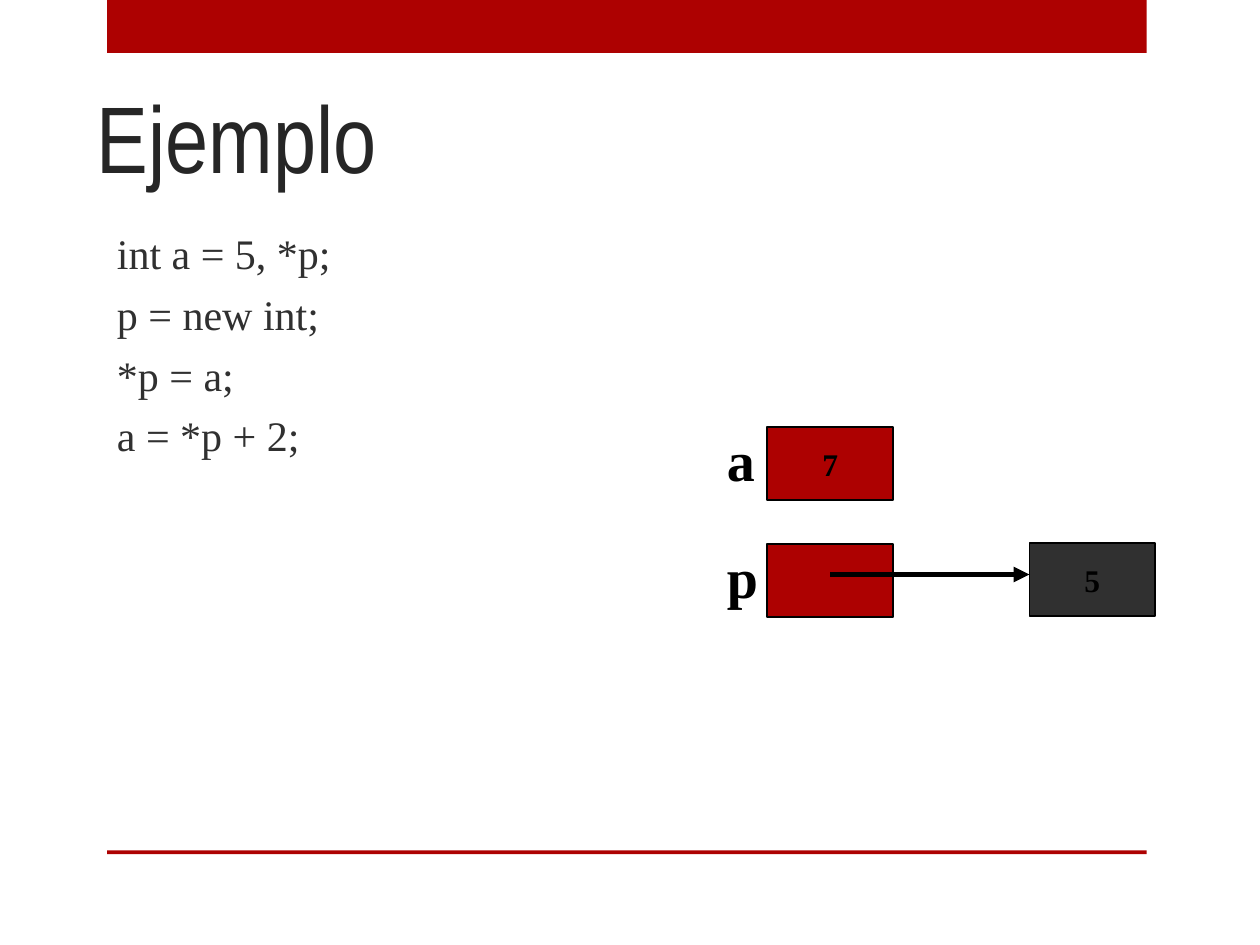
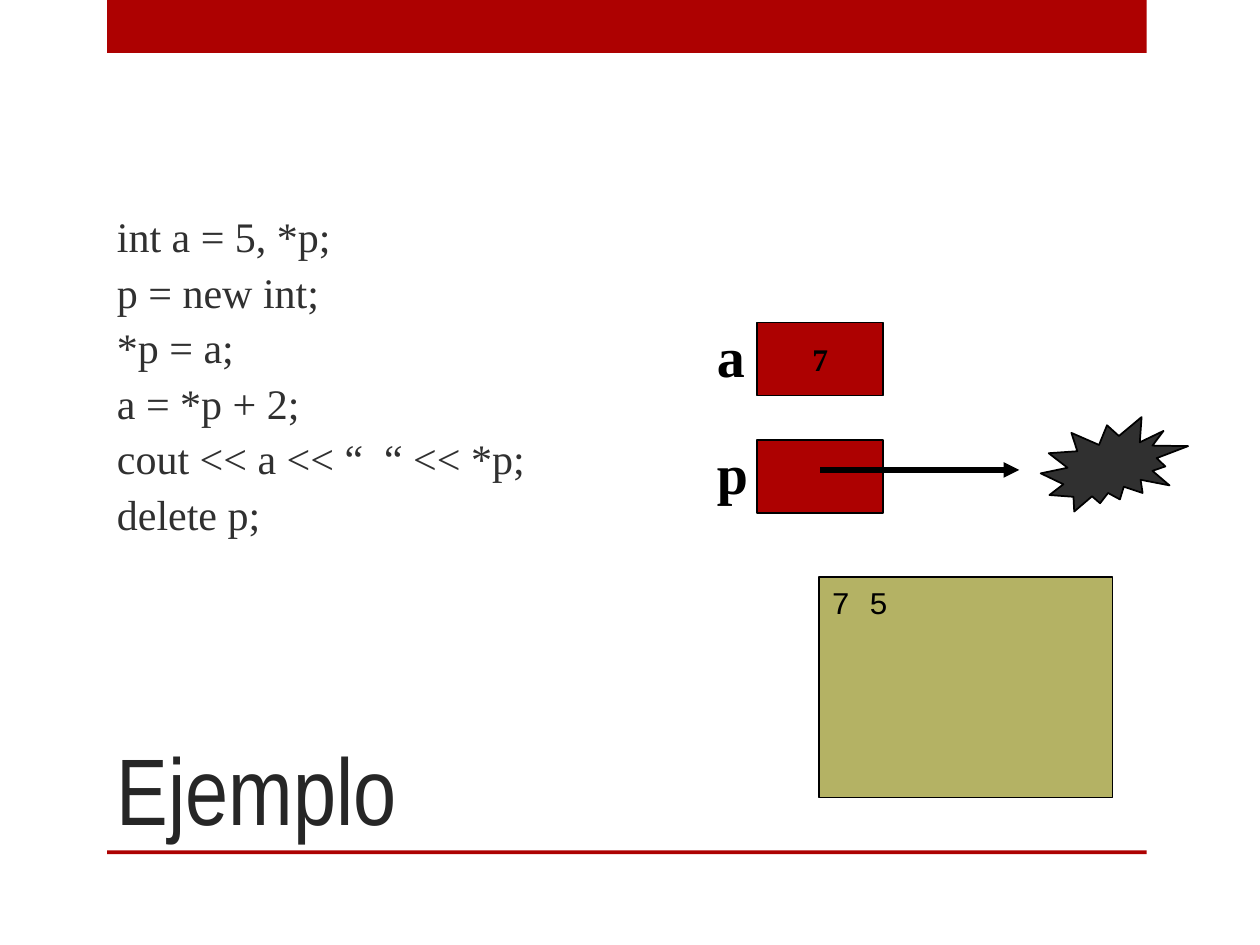
from pptx import Presentation
from pptx.dml.color import RGBColor as Rgb
from pptx.enum.shapes import MSO_CONNECTOR as Conn, MSO_SHAPE as Geo
from pptx.enum.text import MSO_ANCHOR as Anchor, PP_ALIGN as Align
from pptx.oxml.ns import qn
from pptx.util import Inches, Pt
from lxml.etree import SubElement as Sub

HUES = {
    "red": "AD0101",
    "title": "262626",
    "dark": "303030",
    "black": "000000",
    "olive": "B4B264",
}
SERIF = "Times New Roman"
CODE = ["int a = 5, *p;", "p = new int;", "*p = a;", "a = *p + 2;"]
PRINT = ["cout << a << “  “ << *p;", "delete p;"]


def hue(name):
    return Rgb.from_string(HUES[name])


def write(frame, text, size=18, font=SERIF, color="black", bold=False,
          align=Align.LEFT, anchor=Anchor.TOP, wrap=False, lead=None, gap=0):
    frame.word_wrap = wrap
    frame.vertical_anchor = anchor
    for i, line in enumerate(text.split("\n")):
        para = frame.add_paragraph() if i else frame.paragraphs[0]
        para.alignment = align
        if lead:
            para.line_spacing = lead
        if i:
            para.space_before = Pt(gap)
        run = para.add_run()
        run.text = line
        run.font.size = Pt(size)
        run.font.name = font
        run.font.bold = bold
        run.font.color.rgb = hue(color)


def label(slide, box, text, **style):
    area = slide.shapes.add_textbox(*map(Inches, box))
    write(area.text_frame, text, **style)


def block(slide, box, fill, geo=Geo.RECTANGLE, edge=True):
    shape = slide.shapes.add_shape(geo, *map(Inches, box))
    shape.shadow.inherit = False
    shape.fill.solid()
    shape.fill.fore_color.rgb = hue(fill)
    if edge:
        shape.line.color.rgb = hue("black")
        shape.line.width = Pt(1)
    else:
        shape.line.fill.background()
    return shape


def arrow(slide, left, top, width):
    ends = map(Inches, (left, top, left + width, top))
    line = slide.shapes.add_connector(Conn.STRAIGHT, *ends)
    line.line.color.rgb = hue("black")
    line.line.width = Pt(3)
    Sub(line.line._get_or_add_ln(), qn("a:tailEnd"), type="triangle")
    Sub(line._element.spPr, qn("a:effectLst"))


def cell(slide, left, top, value="", fill="red"):
    shape = block(slide, (left, top, 1, 0.58), fill)
    if value:
        write(shape.text_frame, value, bold=True, align=Align.CENTER,
              anchor=Anchor.MIDDLE)


def memory(slide, left, top, freed=False):
    for i, (name, value) in enumerate([("a", "7"), ("p", "")]):
        row = top + 0.93 * i
        label(slide, (left, row, 0.42 + 0.03 * i, 0.63), name,
              size=32, bold=True)
        cell(slide, left + 0.42, row + 0.06, value)
    if freed:
        block(slide, (left + 2.67, top + 0.81, 1.17, 0.75), "dark",
              Geo.EXPLOSION2)
    else:
        cell(slide, left + 2.5, top + 0.98, "5", "dark")
    arrow(slide, left + 0.92, top + 1.23, 1.58)


def screen(slide, box, text):
    shape = block(slide, box, "olive")
    write(shape.text_frame, text, font="Courier New")


def base(deck, title):
    slide = deck.slides.add_slide(deck.slide_layouts[6])
    for top, height in [(0, 0.42), (6.75, 0.03)]:
        block(slide, (0.85, top, 8.25, height), "red", edge=False)
    label(slide, title, "Ejemplo", size=54, font="Arial Narrow",
          color="title", anchor=Anchor.BOTTOM, wrap=True)
    return slide


def code(slide, box, lines, lead=None):
    label(slide, box, "\n".join(lines), size=24, color="dark",
          wrap=True, lead=lead, gap=5.8)


def assign(deck):
    slide = base(deck, (0.67, 0.25, 8.5, 1.33))
    code(slide, (0.83, 1.76, 4.5, 2), CODE)
    memory(slide, 5.67, 3.33)


def delete(deck):
    slide = base(deck, (0.83, 5, 7.42, 1.75))
    code(slide, (0.83, 1.67, 4.5, 2.7), CODE + PRINT, lead=0.9)
    screen(slide, (6.5, 4.58, 2.33, 1.75), "7 5")
    memory(slide, 5.59, 2.5, freed=True)


def main():
    deck = Presentation()
    deck.slide_width = Inches(10)
    deck.slide_height = Inches(7.5)
    assign(deck)
    delete(deck)
    deck.save("out.pptx")


if __name__ == "__main__":
    main()
